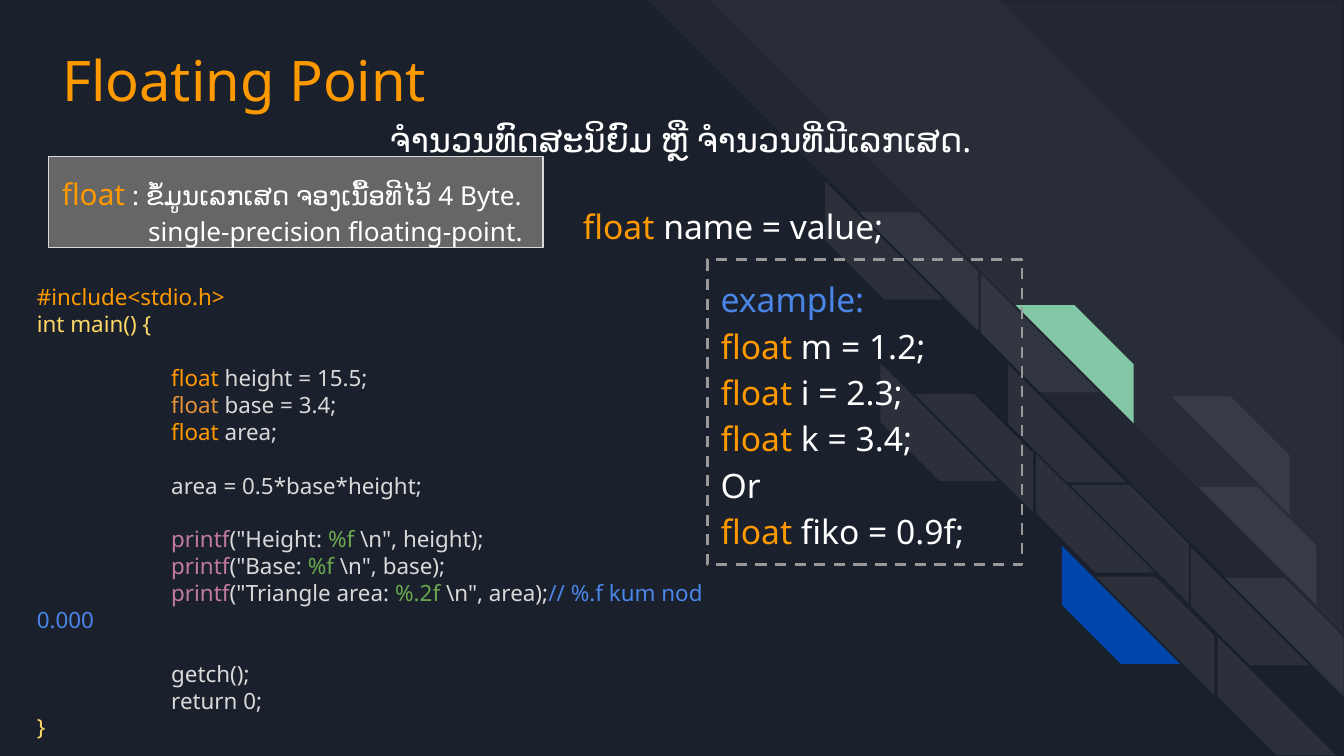
from pptx import Presentation
from pptx.dml.color import RGBColor as Rgb
from pptx.enum.dml import MSO_LINE as Dash
from pptx.enum.shapes import MSO_SHAPE as Kind
from pptx.enum.text import MSO_ANCHOR as Anchor, PP_ALIGN as Align
from pptx.oxml.ns import qn
from pptx.util import Inches, Pt
from lxml import etree

# The grid: 100 columns by 56.25 rows of square cells
CELL = Inches(0.1)
COLS, ROWS = 100, 56.25
FONT = "Noto Sans"
INK = {
    "back": "1B212C", "white": "FFFFFF", "orange": "FF9900",
    "amber": "E69138", "yellow": "FFD966", "pale": "D9D9D9",
    "pink": "C27BA0", "leaf": "6AA84F", "sky": "4A86E8",
    "panel": "666666", "edge": "999999", "mint": "82C7A5", "blue": "0145AC",
}


def cells(*nums):
    return [round(n * CELL) for n in nums]


def paint(fill, ink, alpha=None):
    fill.solid()
    fill.fore_color.rgb = Rgb.from_string(INK[ink])
    if alpha:
        tone = fill._xPr.find(qn("a:solidFill"))[0]
        etree.SubElement(tone, qn("a:alpha"), val=str(alpha * 1000))


def stripe(slide, box, turn, cut, ink="white", alpha=None):
    part = slide.shapes.add_shape(Kind.DIAGONAL_STRIPE, *cells(*box))
    part.shadow.inherit = False
    part.rotation = turn
    part.adjustments[0] = cut
    paint(part.fill, ink, alpha)
    part.line.fill.background()


def frame(slide, box, fill=None, line=None, width=1, dash=None):
    """A box for text; it is a rectangle when it has an outline."""
    if line:
        part = slide.shapes.add_shape(Kind.RECTANGLE, *cells(*box))
        part.shadow.inherit = False
        if fill:
            paint(part.fill, fill)
        else:
            part.fill.background()
        paint(part.line.fill, line)
        part.line.width = Pt(width)
        if dash:
            part.line.dash_style = dash
    else:
        part = slide.shapes.add_textbox(*cells(*box))
    text = part.text_frame
    text.word_wrap = True
    text.vertical_anchor = Anchor.TOP
    text.margin_left = text.margin_right = CELL
    text.margin_top = text.margin_bottom = CELL
    return text


def write(text, runs, size, align=Align.LEFT, space=1.15):
    """Add a paragraph; each run is words, ink and maybe its own size."""
    first = text.paragraphs[0]
    para = text.add_paragraph() if first.runs else first
    para.alignment = align
    para.line_spacing = space
    for words, ink, *own in runs:
        run = para.add_run()
        run.text = words
        run.font.name = FONT
        run.font.size = Pt(own[0] if own else size)
        run.font.color.rgb = Rgb.from_string(INK[ink])
    return para


def bands(slide, box):
    """Wide faint bands and the small bricks that lie on them."""
    left, top, wide, high = box
    stripe(slide, (left, top, wide, high), 90, 0.495, alpha=3)
    stripe(slide, (left + 4.7, top + 0.1, 47, 46.9), 90, 0, alpha=3)
    # Corner of each brick pair, the sides it shows, and any solid inks
    side = 8.8
    turns = {"L": (0, 0, 270), "T": (2.55, 2.3, 90)}
    pairs = [
        (13.2, 13.5, "LT", {}), (17.3, 27, "LT", {}),
        (24.8, 20.4, "LT", {"T": "mint"}), (26.8, 27.1, "L", {}),
        (36.4, 27.2, "T", {}), (38.4, 33.9, "T", {}),
        (28.9, 33.8, "LT", {}), (30.8, 40.6, "LT", {"L": "blue"}),
        (40.4, 40.7, "LT", {}), (42.4, 47.4, "L", {}),
    ]
    for x, y, shown, inks in pairs:
        for key in shown:
            dx, dy, turn = turns[key]
            spot = (left + x + dx, top + y + dy, side, side)
            ink = inks.get(key, "white")
            stripe(slide, spot, turn, 0.5, ink, None if key in inks else 7)


def head(slide, box):
    text = frame(slide, box)
    write(text, [("Floating Point", "orange")], 30, space=1)
    write(text, [("ຈຳນວນທົດສະນິຍົມ ຫຼື ຈຳນວນທີ່ມີເລກເສດ.", "white")],
          18, Align.CENTER)


def note(slide, box):
    text = frame(slide, box, "panel", "pale", 0.75)
    write(text, [("float", "orange", 16),
                 (" : ຂໍ້ມູນເລກເສດ ຈອງເນື້ອທີໄວ້ 4 Byte.", "white")], 14)
    write(text, [("single-precision floating-point. ", "white")],
          14, Align.RIGHT)


def form(slide, box):
    text = frame(slide, box)
    write(text, [("float ", "orange"), ("name = value;", "white")],
          18, Align.CENTER)


def sample(slide, box):
    text = frame(slide, box, line="edge", width=1.5, dash=Dash.DASH)
    write(text, [("example:", "sky")], 18)
    for key, rest in [("float", " m = 1.2;"), ("float", " i = 2.3;"),
                      ("float", " k = 3.4;"), ("", "Or"),
                      ("float ", "fiko = 0.9f;")]:
        runs = [(key, "orange")] if key else []
        write(text, runs + [(rest, "white")], 18)


def show(label, mark, rest):
    return [("printf", "pink"), (f'("{label}: ', "pale"),
            (mark, "leaf"), (f'\\n", {rest});', "pale")]


def code(slide, box):
    text = frame(slide, box)
    size, gap = 12, 14.4
    # Blocks of indented lines, with one line of space before each
    blocks = [
        [[("float ", "orange"), ("height = 15.5;", "pale")],
         [("float", "amber"), (" base = 3.4;", "pale")],
         [("float", "orange"), (" area;", "pale")]],
        [[("area = 0.5*base*height;", "pale")]],
        [show("Height", "%f ", "height"),
         show("Base", "%f ", "base"),
         show("Triangle area", "%.2f ", "area")
         + [("// %.f kum nod 0.000", "sky")]],
        [[("getch();", "pale")], [("return 0;", "pale")]],
    ]
    write(text, [("#include<stdio.h>", "orange")], size, space=1)
    write(text, [("int main() {", "yellow")], size, space=1)
    for block in blocks:
        for row, runs in enumerate(block):
            para = write(text, runs, size, space=1)
            props = para._p.get_or_add_pPr()
            props.set("marL", "0")
            props.set("indent", str(10 * CELL))
            if row == 0:
                para.space_before = Pt(gap)
    write(text, [("}", "yellow")], size, space=1)


def main():
    deck = Presentation()
    deck.slide_width, deck.slide_height = cells(COLS, ROWS)
    slide = deck.slides.add_slide(deck.slide_layouts[6])
    paint(slide.background.fill, "back")
    bands(slide, (48.2, 0, 51.8, 51.8))
    head(slide, (3.64, 2.4, 94, 11.2))
    note(slide, (3.62, 11.64, 36.8, 6.8))
    form(slide, (42.2, 13.9, 24.7, 5.6))
    sample(slide, (52.64, 19.33, 23.4, 22.7))
    code(slide, (1.76, 20.1, 53.3, 32.6))
    deck.save("out.pptx")


if __name__ == "__main__":
    main()
